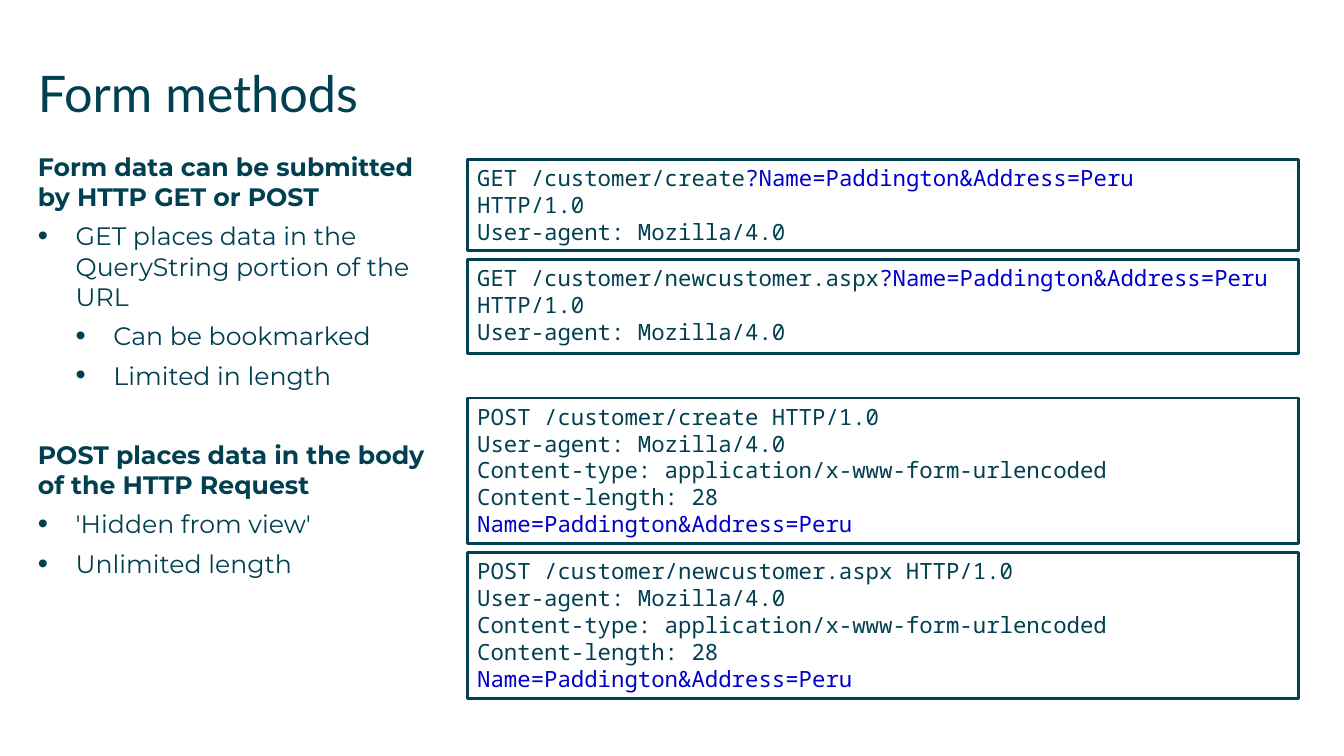
from dataclasses import dataclass

from lxml.etree import SubElement
from pptx import Presentation
from pptx.dml.color import RGBColor
from pptx.enum.shapes import MSO_SHAPE
from pptx.enum.text import MSO_ANCHOR, MSO_AUTO_SIZE, PP_ALIGN
from pptx.oxml.ns import qn
from pptx.util import Emu, Pt

EMU_PER_PX = 9525
COLOURS = {"ink": "004050", "data": "0000CC", "paper": "FFFFFF"}
HEADING_FONT, BODY_FONT, CODE_FONT = "Lato", "Montserrat", "Noto Sans Mono"
INDENT = 36
REQUEST_LEFT, REQUEST_WIDTH = 445, 792


@dataclass(frozen=True)
class Point:
    text: str
    depth: int = 0
    space_before: float = 0


@dataclass(frozen=True)
class Span:
    text: str
    colour: str = "ink"


@dataclass(frozen=True)
class Request:
    top: int
    height: int
    paragraphs: tuple[tuple[Span, ...], ...]


DATA = "Name=Paddington&Address=Peru"
AGENT = "User-agent: Mozilla/4.0"
POST_HEADERS = (
    f" HTTP/1.0\n{AGENT}\n"
    "Content-type: application/x-www-form-urlencoded\n"
    "Content-length: 28"
)

POINTS = (
    Point("Form data can be submitted by HTTP GET or POST"),
    Point("GET places data in the QueryString portion of the URL", 1),
    Point("Can be bookmarked", 2),
    Point("Limited in length", 2),
    Point("POST places data in the body of the HTTP Request", space_before=28.5),
    Point("'Hidden from view'", 1),
    Point("Unlimited length", 1),
)


def get_request(top: int, height: int, page: str, separator: str) -> Request:
    spans = (
        Span(f"GET /customer/{page}"),
        Span(f"?{DATA}", "data"),
        Span(f"{separator}HTTP/1.0\n{AGENT}"),
    )
    return Request(top, height, (spans,))


def post_request(top: int, page: str) -> Request:
    headers = (Span(f"POST /customer/{page}{POST_HEADERS}"),)
    return Request(top, 139, (headers, (Span(DATA, "data"),)))


REQUESTS = (
    get_request(152, 87, "create", "\n"),
    get_request(247, 90, "newcustomer.aspx", " "),
    post_request(379, "create"),
    post_request(526, "newcustomer.aspx"),
)


def px(length: int) -> Emu:
    return Emu(length * EMU_PER_PX)


def rgb(colour: str) -> RGBColor:
    return RGBColor.from_string(COLOURS[colour])


def place(holder, left: int, top: int, width: int, height: int) -> None:
    holder.left, holder.top = px(left), px(top)
    holder.width, holder.height = px(width), px(height)
    frame = holder.text_frame
    frame.margin_left = frame.margin_right = 0
    frame.margin_top = frame.margin_bottom = 0
    frame.vertical_anchor = MSO_ANCHOR.TOP
    frame.auto_size = MSO_AUTO_SIZE.NONE
    frame.word_wrap = True


def add_text(paragraph, text: str, font: str, size: int,
             colour: str = "ink", bold: bool = False) -> None:
    for number, line in enumerate(text.split("\n")):
        if number:
            paragraph.add_line_break()
        if line:
            run = paragraph.add_run()
            run.text = line
            run.font.name = font
            run.font.size = Pt(size)
            run.font.bold = bold
            run.font.color.rgb = rgb(colour)


def set_bullet(paragraph, depth: int) -> None:
    properties = paragraph._p.get_or_add_pPr()
    properties.set("marL", str(px(INDENT * depth)))
    properties.set("indent", str(px(-INDENT if depth else 0)))
    if depth:
        SubElement(properties, qn("a:buSzPct"), val="115000")
        SubElement(properties, qn("a:buFont"), typeface="Arial")
        SubElement(properties, qn("a:buChar"), char="•")
    else:
        SubElement(properties, qn("a:buNone"))


def fill_points(frame, points: tuple[Point, ...]) -> None:
    for number, point in enumerate(points):
        paragraph = frame.add_paragraph() if number else frame.paragraphs[0]
        paragraph.level = max(point.depth - 1, 0)
        set_bullet(paragraph, point.depth)
        paragraph.space_before = Pt(point.space_before)
        paragraph.space_after = Pt(6.5)
        add_text(paragraph, point.text, BODY_FONT, 18, bold=point.depth == 0)


def draw_request(slide, request: Request) -> None:
    panel = slide.shapes.add_shape(
        MSO_SHAPE.RECTANGLE, px(REQUEST_LEFT), px(request.top),
        px(REQUEST_WIDTH), px(request.height))
    panel.shadow.inherit = False
    panel.fill.solid()
    panel.fill.fore_color.rgb = rgb("paper")
    panel.line.color.rgb = rgb("ink")
    panel.line.width = Pt(2)
    frame = panel.text_frame
    frame.word_wrap = True
    frame.vertical_anchor = MSO_ANCHOR.TOP
    for number, spans in enumerate(request.paragraphs):
        paragraph = frame.add_paragraph() if number else frame.paragraphs[0]
        paragraph.alignment = PP_ALIGN.LEFT
        for span in spans:
            add_text(paragraph, span.text, CODE_FONT, 16, span.colour)


def main() -> None:
    presentation = Presentation()
    presentation.slide_width, presentation.slide_height = px(1280), px(720)
    slide = presentation.slides.add_slide(presentation.slide_layouts[1])

    heading = slide.shapes.title
    place(heading, 36, 59, 1210, 84)
    heading_line = heading.text_frame.paragraphs[0]
    heading_line.alignment = PP_ALIGN.LEFT
    add_text(heading_line, "Form methods", HEADING_FONT, 36)

    methods = slide.placeholders[1]
    place(methods, 36, 144, 369, 520)
    fill_points(methods.text_frame, POINTS)

    for request in REQUESTS:
        draw_request(slide, request)

    presentation.save("out.pptx")


if __name__ == "__main__":
    main()
